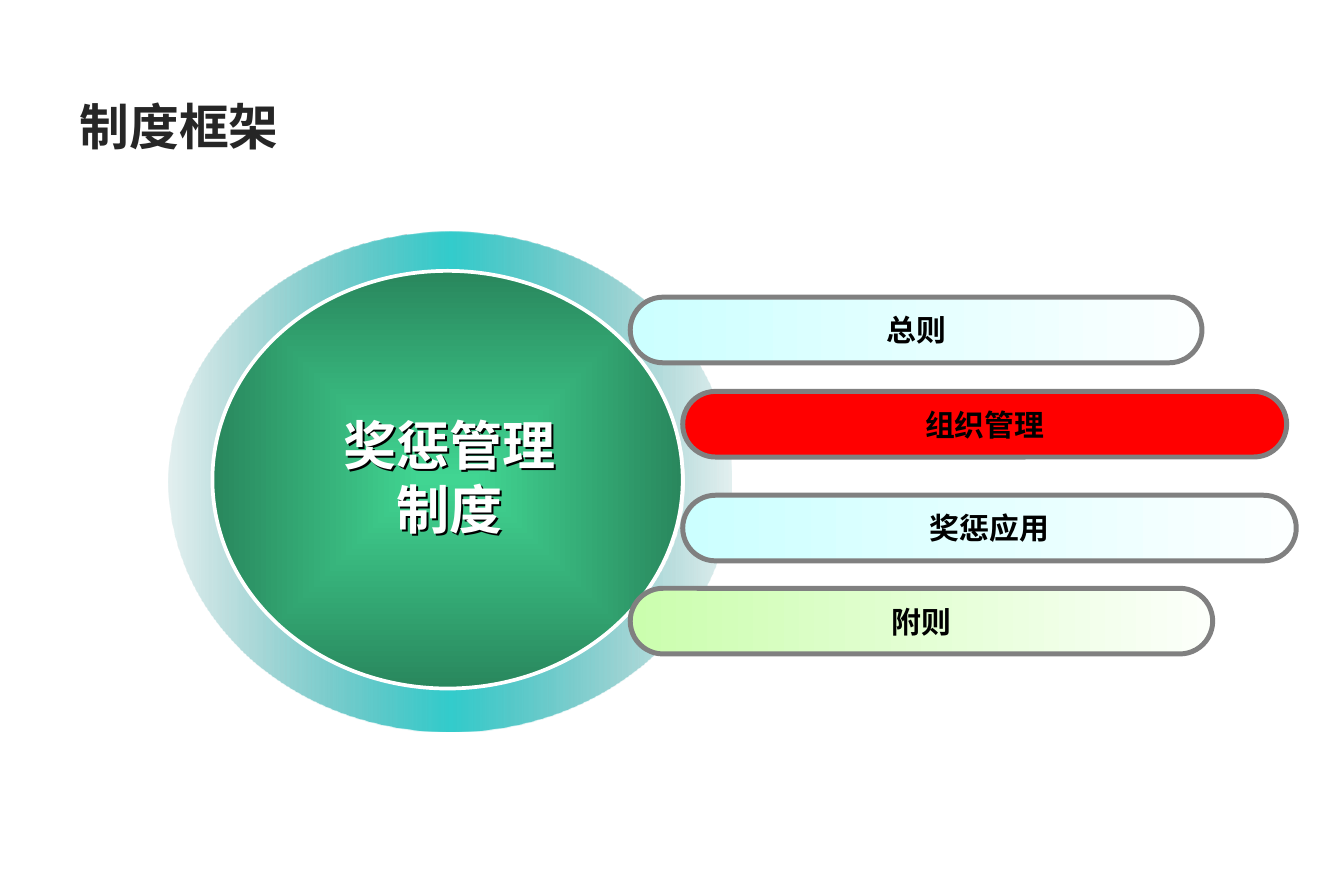
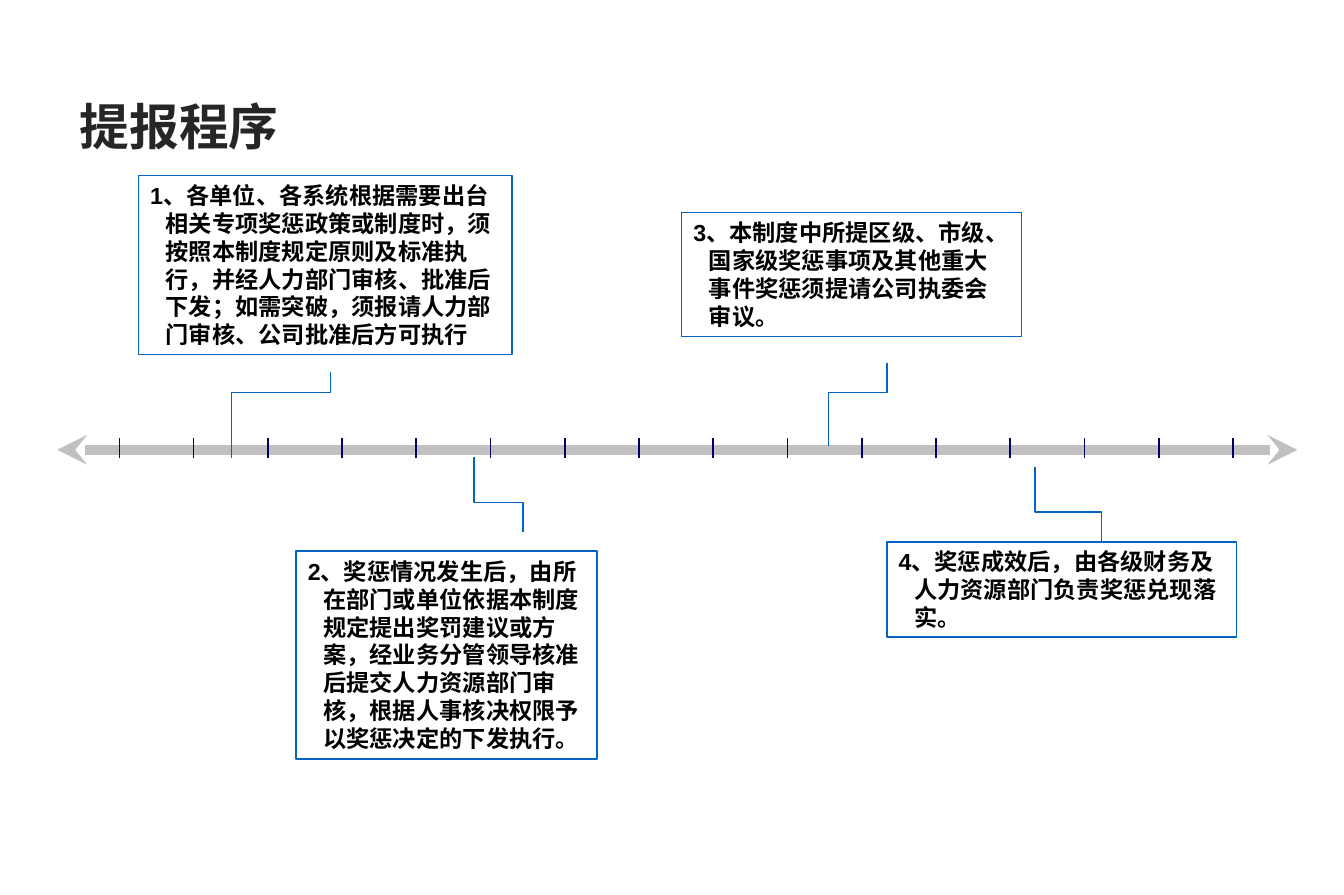
from lxml import etree
from pptx import Presentation
from pptx.dml.color import RGBColor
from pptx.enum.lang import MSO_LANGUAGE_ID as Language
from pptx.enum.shapes import MSO_CONNECTOR as Connector, MSO_SHAPE as Shape
from pptx.enum.text import MSO_ANCHOR as Anchor, PP_ALIGN as Align
from pptx.oxml import parse_xml
from pptx.oxml.ns import nsdecls, qn
from pptx.util import Pt

PX = 9144
WIDTH, HEIGHT = 1126, 750
FONT = "Arial"
INK, TITLE_INK, WHITE = "000000", "262626", "FFFFFF"
BLUE, NAVY, GREY, SILVER = "0563C1", "000066", "808080", "C0C0C0"
RED = "FF0000"

TITLE_PLACE = (57, 67, 1013, 77)
RING_PLACE = (141, 194, 472, 419)
DISC_PLACE = (178, 227, 394, 350)
DISC_TEXT_PLACE = (248, 341, 258, 117)
DISC_LINES = ["奖惩管理", "制度"]
RING_STOPS = [(0, "228888", 12), (50, "33CCCC", 100), (100, "228888", 12)]
DISC_STOPS = [(0, "41D592", 100), (100, "29875D", 100)]
AQUA_STOPS = [(0, "CCFFFF", 100), (100, "FCFFFF", 100)]
LIME_STOPS = [(0, "CBFEAE", 100), (100, "FCFFFA", 100)]

BAR_HEIGHT = 55
BARS = [
    ("总则", 528, 249, 479, AQUA_STOPS),
    ("组织管理", 572, 328, 506, RED),
    ("奖惩应用", 572, 415, 514, AQUA_STOPS),
    ("附则", 528, 493, 488, LIME_STOPS),
]

AXIS_Y, AXIS_LEFT, AXIS_RIGHT = 377, 48, 1087
TICK_COUNT, TICK_FIRST, TICK_LAST = 16, 100, 1033
TICK_TOP, TICK_BOTTOM = 367, 384
INDENT = 13
STEPS = [
    ("1、各单位、各系统根据需要出台相关专项奖惩政策或制度时，须按照本制度规定原则及标准执行，"
     "并经人力部门审核、批准后下发；如需突破，须报请人力部门审核、公司批准后方可执行",
     (116, 147, 313, 150), (277, 312), 329, (194, 384)),
    ("2、奖惩情况发生后，由所在部门或单位依据本制度规定提出奖罚建议或方案，"
     "经业务分管领导核准后提交人力资源部门审核，根据人事核决权限予以奖惩决定的下发执行。",
     (248, 462, 252, 174), (438, 446), 421, (397, 383)),
    ("3、本制度中所提区级、市级、国家级奖惩事项及其他重大事件奖惩须提请公司执委会审议。",
     (571, 178, 285, 104), (743, 304), 329, (694, 374)),
    ("4、奖惩成效后，由各级财务及人力资源部门负责奖惩兑现落实。",
     (743, 454, 293, 80), (923, 454), 429, (867, 391)),
]


def color(value):
    return RGBColor.from_string(value)


def emu(values):
    return [round(value * PX) for value in values]


def set_line(shape, value, width):
    shape.line.color.rgb = color(value)
    shape.line.width = Pt(width)


def set_gradient(shape, stops, from_center=False):
    marks = "".join(
        f'<a:gs pos="{pos * 1000}"><a:srgbClr val="{value}">'
        f'<a:alpha val="{alpha * 1000}"/></a:srgbClr></a:gs>'
        for pos, value, alpha in stops)
    direction = (
        '<a:path path="rect"><a:fillToRect l="50000" t="50000" r="50000" b="50000"/></a:path>'
        if from_center else '<a:lin ang="0" scaled="1"/>')
    gradient = parse_xml(
        f'<a:gradFill {nsdecls("a")} rotWithShape="1"><a:gsLst>{marks}</a:gsLst>{direction}</a:gradFill>')
    shape._element.spPr.find(qn("a:prstGeom")).addnext(gradient)


def add_shape(page, kind, place, fill, line=None, from_center=False):
    shape = page.shapes.add_shape(kind, *emu(place))
    shape.shadow.inherit = False
    if isinstance(fill, str):
        shape.fill.solid()
        shape.fill.fore_color.rgb = color(fill)
    else:
        set_gradient(shape, fill, from_center)
    if line:
        set_line(shape, *line)
    else:
        shape.line.fill.background()
    return shape


def write(box, lines, size, value=INK, align=Align.LEFT, anchor=Anchor.TOP, indent=0):
    frame = box.text_frame
    frame.word_wrap = True
    frame.vertical_anchor = anchor
    frame.text = "\n".join(lines)
    for para in frame.paragraphs:
        para.alignment = align
        properties = para._p.get_or_add_pPr()
        properties.set("hangingPunct", "0")
        if indent:
            properties.set("marL", str(indent * PX))
            properties.set("indent", str(-indent * PX))
        para.font.name = FONT
        para.font.size = Pt(size)
        para.font.bold = True
        para.font.color.rgb = color(value)
        for span in para.runs:
            span.font.language_id = Language.SIMPLIFIED_CHINESE


def add_text_shadow(box):
    box._element.spPr.append(parse_xml(
        f'<a:effectLst {nsdecls("a")}><a:outerShdw dist="{2 * PX}" dir="2700000" algn="ctr" rotWithShape="0">'
        f'<a:srgbClr val="{INK}"/></a:outerShdw></a:effectLst>'))


def add_line(page, ends, value, width, arrows=False):
    line = page.shapes.add_connector(Connector.STRAIGHT, *emu(ends))
    set_line(line, value, width)
    if arrows:
        outline = line.line._get_or_add_ln()
        for end in ("a:headEnd", "a:tailEnd"):
            etree.SubElement(outline, qn(end), type="stealth")
    etree.SubElement(line._element.spPr, qn("a:effectLst"))


def add_leader(page, start, bend, end):
    builder = page.shapes.build_freeform(*start, scale=PX)
    builder.add_line_segments([(start[0], bend), (end[0], bend), end], close=False)
    leader = builder.convert_to_shape()
    leader.shadow.inherit = False
    leader.fill.background()
    set_line(leader, BLUE, 1)


def add_page(deck, title):
    page = deck.slides.add_slide(deck.slide_layouts[6])
    box = page.shapes.add_textbox(*emu(TITLE_PLACE))
    write(box, [title], 30, TITLE_INK, anchor=Anchor.MIDDLE)
    return page


def build_framework(deck):
    page = add_page(deck, "制度框架")
    ring = add_shape(page, Shape.DONUT, RING_PLACE, RING_STOPS)
    ring.adjustments[0] = 0.095
    add_shape(page, Shape.OVAL, DISC_PLACE, DISC_STOPS, (WHITE, 2.25), from_center=True)
    label = page.shapes.add_textbox(*emu(DISC_TEXT_PLACE))
    write(label, DISC_LINES, 32, WHITE, Align.CENTER)
    add_text_shadow(label)
    for text, left, top, width, fill in BARS:
        bar = add_shape(page, Shape.ROUNDED_RECTANGLE, (left, top, width, BAR_HEIGHT), fill, (GREY, 3))
        bar.adjustments[0] = 0.5
        write(bar, [text], 18, align=Align.CENTER, anchor=Anchor.MIDDLE)


def build_procedure(deck):
    page = add_page(deck, "提报程序")
    add_line(page, (AXIS_LEFT, AXIS_Y, AXIS_RIGHT, AXIS_Y), SILVER, 6, arrows=True)
    gap = (TICK_LAST - TICK_FIRST) / (TICK_COUNT - 1)
    for index in range(TICK_COUNT):
        x = TICK_FIRST + index * gap
        add_line(page, (x, TICK_BOTTOM, x, TICK_TOP), NAVY, 1)
    for text, place, start, bend, end in STEPS:
        add_leader(page, start, bend, end)
        card = add_shape(page, Shape.RECTANGLE, place, WHITE, (BLUE, 1))
        write(card, [text], 14, indent=INDENT)


def main():
    deck = Presentation()
    deck.slide_width, deck.slide_height = emu((WIDTH, HEIGHT))
    build_framework(deck)
    build_procedure(deck)
    deck.save("out.pptx")


if __name__ == "__main__":
    main()
